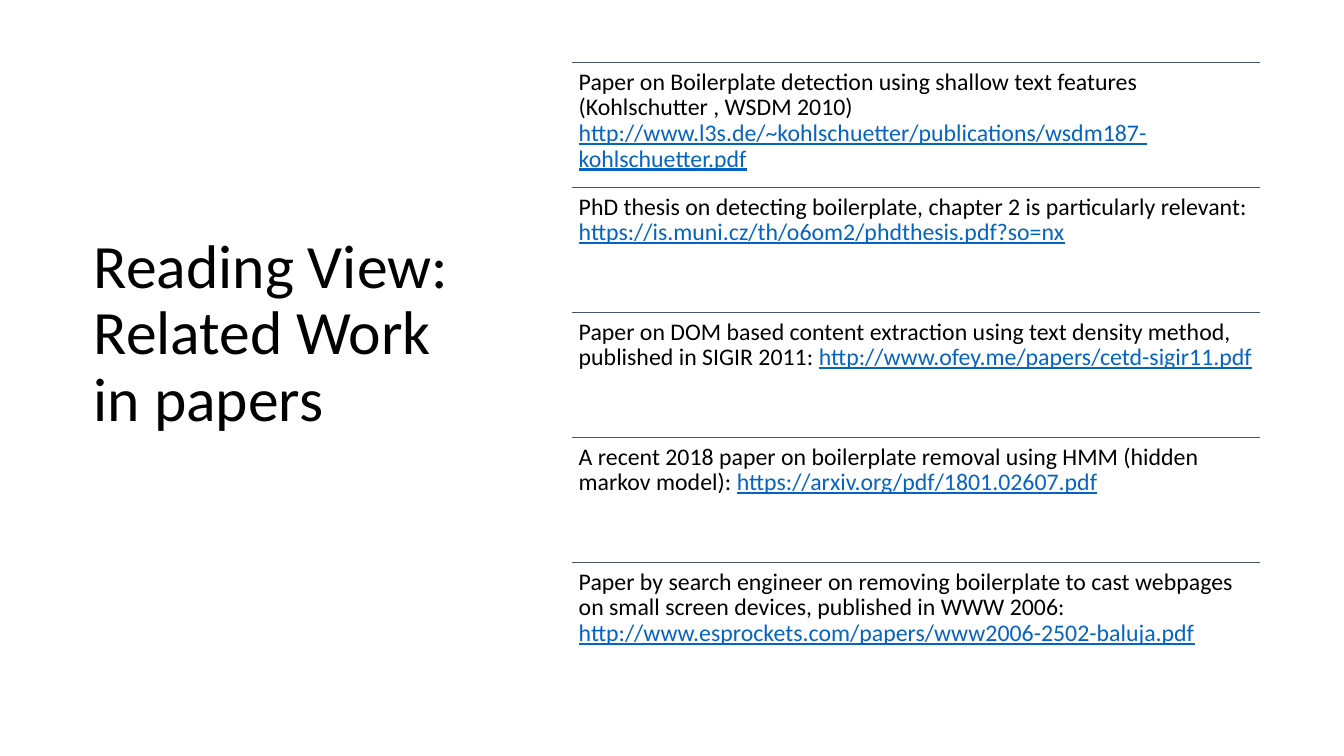
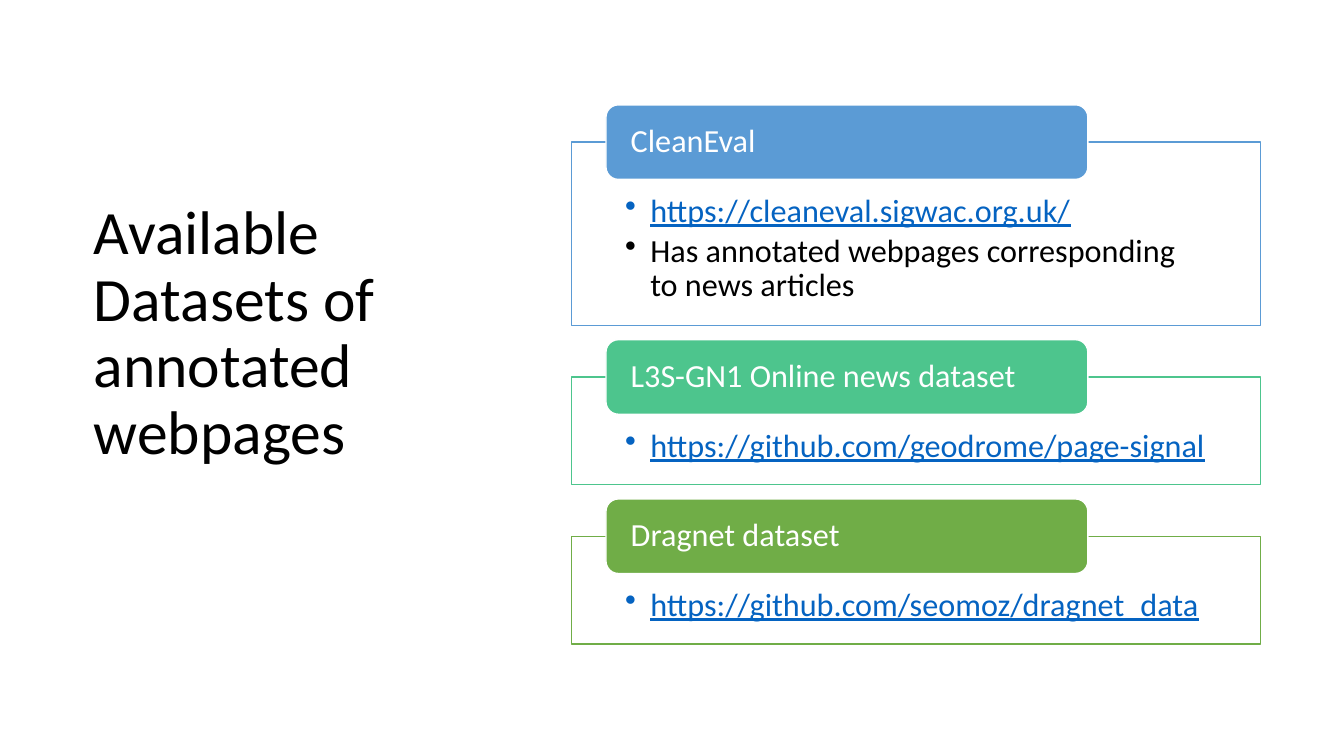
from dataclasses import dataclass
from typing import Any

import lxml.etree
import pptx
import pptx.dml.color
import pptx.enum.shapes
import pptx.enum.text
import pptx.oxml.ns
import pptx.util

RGBColor = pptx.dml.color.RGBColor
BLACK = RGBColor(0x00, 0x00, 0x00)
WHITE = RGBColor(0xFF, 0xFF, 0xFF)
SLATE = RGBColor(0x44, 0x54, 0x6A)
LINK_BLUE = RGBColor(0x05, 0x63, 0xC1)
BLUE = RGBColor(0x5B, 0x9B, 0xD5)
TEAL = RGBColor(0x4D, 0xC5, 0x8D)
GREEN = RGBColor(0x70, 0xAD, 0x47)

EMU_PER_PX = 9144
FONT = "Calibri"
TITLE_ONLY = 5
CONTENT_LEFT, CONTENT_WIDTH = 567, 683
ROW_TOP, ROW_PITCH = 62, 124
PANEL_TOP, PANEL_GAP = 141, 51
HEADER_INDENT, HEADER_WIDTH, HEADER_HEIGHT = 34, 478, 74
BULLET_INDENT = 25


@dataclass(frozen=True)
class Span:
    text: str
    color: RGBColor = BLACK
    underline: bool = False


@dataclass(frozen=True)
class Paper:
    description: str
    url: str


@dataclass(frozen=True)
class Dataset:
    name: str
    color: RGBColor
    height: int
    items: list[Span]


def link(url: str) -> Span:
    return Span(url, LINK_BLUE, True)


PAPERS = [
    Paper("Paper on Boilerplate detection using shallow text features (Kohlschutter , WSDM 2010) ",
          "http://www.l3s.de/~kohlschuetter/publications/wsdm187-kohlschuetter.pdf"),
    Paper("PhD thesis on detecting boilerplate, chapter 2 is particularly relevant: ",
          "https://is.muni.cz/th/o6om2/phdthesis.pdf?so=nx"),
    Paper("Paper on DOM based content extraction using text density method, published in SIGIR 2011: ",
          "http://www.ofey.me/papers/cetd-sigir11.pdf"),
    Paper("A recent 2018 paper on boilerplate removal using HMM (hidden markov model): ",
          "https://arxiv.org/pdf/1801.02607.pdf"),
    Paper("Paper by search engineer on removing boilerplate to cast webpages on small screen devices, "
          "published in WWW 2006: ",
          "http://www.esprockets.com/papers/www2006-2502-baluja.pdf"),
]

DATASETS = [
    Dataset("CleanEval", BLUE, 182, [
        link("https://cleaneval.sigwac.org.uk/"),
        Span("Has annotated webpages corresponding to news articles"),
    ]),
    Dataset("L3S-GN1 Online news dataset", TEAL, 107, [link("https://github.com/geodrome/page-signal")]),
    Dataset("Dragnet dataset", GREEN, 107, [link("https://github.com/seomoz/dragnet_data")]),
]


def px(length: int) -> pptx.util.Emu:
    return pptx.util.Emu(length * EMU_PER_PX)


def apply_format(target: Any, values: dict[str, Any]) -> None:
    for name, value in values.items():
        setattr(target, name, value)


def add_bullet(para: Any) -> None:
    properties = para._p.get_or_add_pPr()
    properties.set("marL", str(px(BULLET_INDENT)))
    properties.set("indent", str(px(-BULLET_INDENT)))
    bullet = lxml.etree.SubElement(properties, pptx.oxml.ns.qn("a:buChar"))
    bullet.set("char", "•")


def write_text(box: Any, paragraphs: list[list[Span]], size: int,
               insets: tuple[int, int, int, int], middle: bool = False,
               bulleted: bool = False) -> None:
    frame = box.text_frame
    left, top, right, bottom = map(px, insets)
    anchor = pptx.enum.text.MSO_ANCHOR
    apply_format(frame, {
        "word_wrap": True,
        "auto_size": pptx.enum.text.MSO_AUTO_SIZE.NONE,
        "vertical_anchor": anchor.MIDDLE if middle else anchor.TOP,
        "margin_left": left, "margin_top": top,
        "margin_right": right, "margin_bottom": bottom,
    })
    for index, spans in enumerate(paragraphs):
        para = frame.add_paragraph() if index else frame.paragraphs[0]
        if bulleted:
            add_bullet(para)
        apply_format(para, {
            "alignment": pptx.enum.text.PP_ALIGN.LEFT,
            "line_spacing": 0.9,
            "space_before": pptx.util.Pt(0),
            "space_after": pptx.util.Pt(3.5 if bulleted else 0),
        })
        for span in spans:
            run = para.add_run()
            run.text = span.text
            apply_format(run.font, {"name": FONT, "size": pptx.util.Pt(size), "underline": span.underline})
            run.font.color.rgb = span.color


def add_page(deck: Any, title: str) -> Any:
    page = deck.slides.add_slide(deck.slide_layouts[TITLE_ONLY])
    write_text(page.shapes.title, [[Span(title)]], 44, (10, 5, 10, 5), middle=True)
    return page


def add_block(page: Any, kind: Any, bounds: tuple[int, int, int, int],
              fill: RGBColor, outline: RGBColor) -> Any:
    block = page.shapes.add_shape(kind, *map(px, bounds))
    block.shadow.inherit = False
    block.fill.solid()
    block.fill.fore_color.rgb = fill
    block.line.color.rgb = outline
    block.line.width = pptx.util.Pt(1)
    return block


def add_paper(page: Any, paper: Paper, top: int) -> None:
    rule = page.shapes.add_connector(
        pptx.enum.shapes.MSO_CONNECTOR.STRAIGHT,
        px(CONTENT_LEFT), px(top), px(CONTENT_LEFT + CONTENT_WIDTH), px(top))
    rule.line.color.rgb = SLATE
    rule.line.width = pptx.util.Pt(0.5)
    lxml.etree.SubElement(rule.element.spPr, pptx.oxml.ns.qn("a:effectLst"))
    box = page.shapes.add_textbox(px(CONTENT_LEFT), px(top), px(CONTENT_WIDTH), px(ROW_PITCH))
    write_text(box, [[Span(paper.description), link(paper.url)]], 17, (7, 7, 7, 7))


def add_dataset(page: Any, dataset: Dataset, top: int) -> None:
    kinds = pptx.enum.shapes.MSO_SHAPE
    panel = add_block(page, kinds.RECTANGLE, (CONTENT_LEFT, top, CONTENT_WIDTH, dataset.height),
                      WHITE, dataset.color)
    write_text(panel, [[item] for item in dataset.items], 23, (53, 52, 53, 18), bulleted=True)
    header = add_block(page, kinds.ROUNDED_RECTANGLE,
                       (CONTENT_LEFT + HEADER_INDENT, top - HEADER_HEIGHT // 2, HEADER_WIDTH, HEADER_HEIGHT),
                       dataset.color, WHITE)
    write_text(header, [[Span(dataset.name, WHITE)]], 23, (21, 0, 21, 0), middle=True)


def main() -> None:
    deck = pptx.Presentation()
    apply_format(deck, {"slide_width": px(1333), "slide_height": px(750)})
    apply_format(deck.slide_layouts[TITLE_ONLY].placeholders[0],
                 {"left": px(83), "top": px(61), "width": px(390), "height": px(542)})

    page = add_page(deck, "Reading View: Related Work in papers")
    for index, paper in enumerate(PAPERS):
        add_paper(page, paper, ROW_TOP + index * ROW_PITCH)

    page = add_page(deck, "Available Datasets of annotated webpages")
    top = PANEL_TOP
    for dataset in DATASETS:
        add_dataset(page, dataset, top)
        top += dataset.height + PANEL_GAP

    deck.save("out.pptx")


if __name__ == "__main__":
    main()
